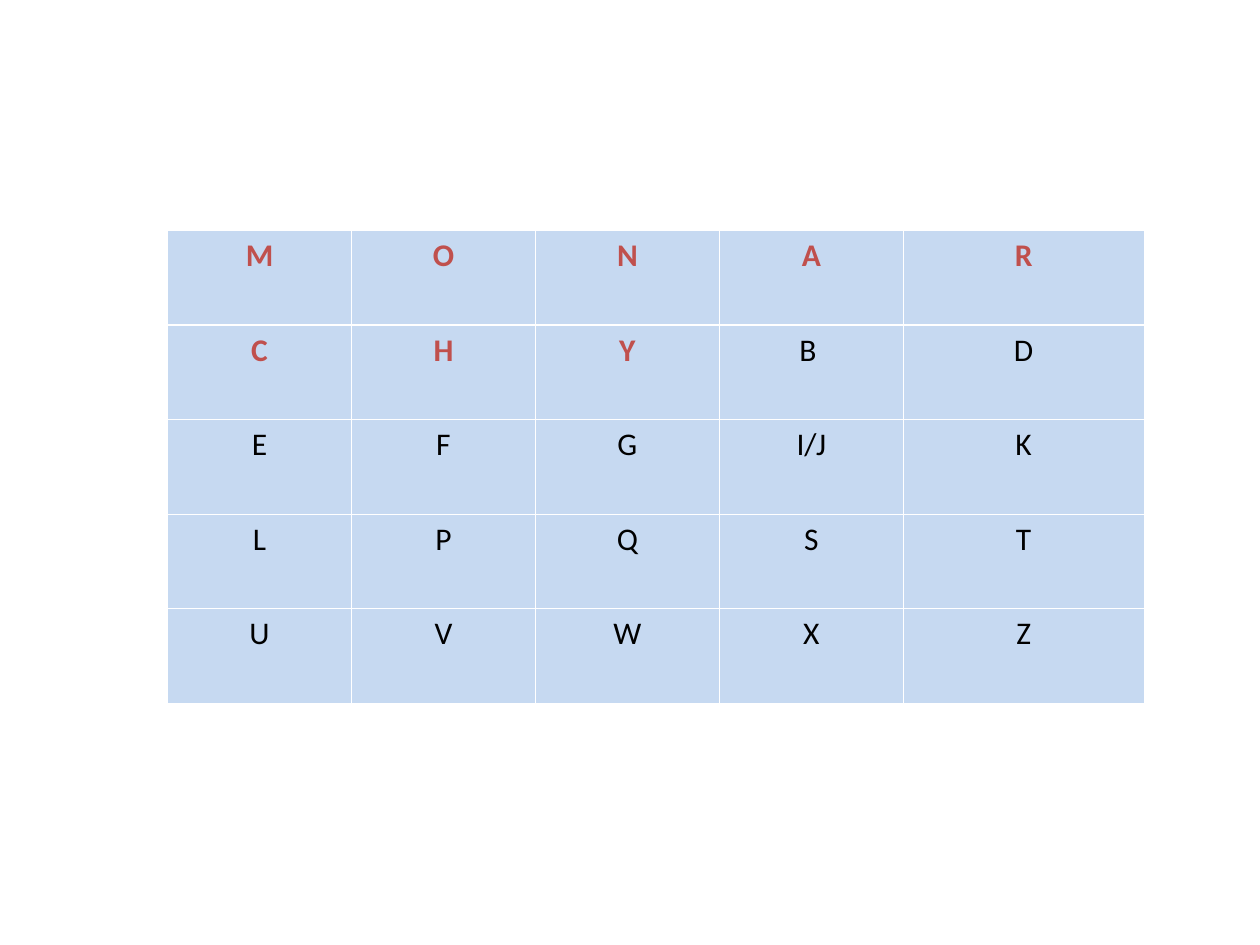
from lxml import etree
from pptx import Presentation
from pptx.dml.color import RGBColor
from pptx.enum.text import PP_ALIGN
from pptx.oxml.ns import qn
from pptx.util import Inches, Pt

CENTER = PP_ALIGN.CENTER
BLANK = 6
KEY = "MONARCHY"
ROWS = [
    ["M", "O", "N", "A", "R"],
    ["C", "H", "Y", "B ", "D"],
    ["E", "F", "G", "I/J", "K"],
    ["L", "P", "Q", "S", "T"],
    ["U", "V", "W", "X", "Z"],
]
WIDTHS = [1.46] * 4 + [1.91]
HEIGHT = 0.75
LEFT, TOP = 1.33, 1.83
THIN, THICK = 0.45, 1.47


def paint(font, tint):
    """Set the colour of a font or a fill from a hex string."""
    font.rgb = RGBColor.from_string(tint)


def edge(cell, side, width, tint="FFFFFF"):
    """Draw one border of a cell."""
    line = etree.SubElement(cell._tc.get_or_add_tcPr(), qn(f"a:ln{side}"))
    line.set("w", str(int(Pt(width))))
    fill = etree.SubElement(line, qn("a:solidFill"))
    etree.SubElement(fill, qn("a:srgbClr")).set("val", tint)


def style(cell, text, row):
    """Write a letter into a cell and format it."""
    for side in "LRTB":
        split = (row, side) in ((0, "B"), (1, "T"))
        edge(cell, side, THICK if split else THIN)
    cell.fill.solid()
    paint(cell.fill.fore_color, "C6D9F1")
    cell.text = text
    para = cell.text_frame.paragraphs[0]
    para.alignment = CENTER
    font = para.font
    font.name, font.size = "Calibri", Pt(18)
    font.bold = text in KEY
    paint(font.color, "C0504D" if font.bold else "000000")


def add_square(slide):
    """Add the cipher key square as a table."""
    frame = slide.shapes.add_table(
        len(ROWS), len(WIDTHS), Inches(LEFT), Inches(TOP),
        Inches(sum(WIDTHS)), Inches(HEIGHT * len(ROWS)))
    table = frame.table
    table.horz_banding = table.first_row = False
    for col, width in zip(table.columns, WIDTHS):
        col.width = Inches(width)
    for row, texts in enumerate(ROWS):
        table.rows[row].height = Inches(HEIGHT)
        for col, text in enumerate(texts):
            style(table.cell(row, col), text, row)


def main():
    """Build and save the slide."""
    deck = Presentation()
    deck.slide_width, deck.slide_height = Inches(10), Inches(7.5)
    add_square(deck.slides.add_slide(deck.slide_layouts[BLANK]))
    deck.save("out.pptx")


if __name__ == "__main__":
    main()
